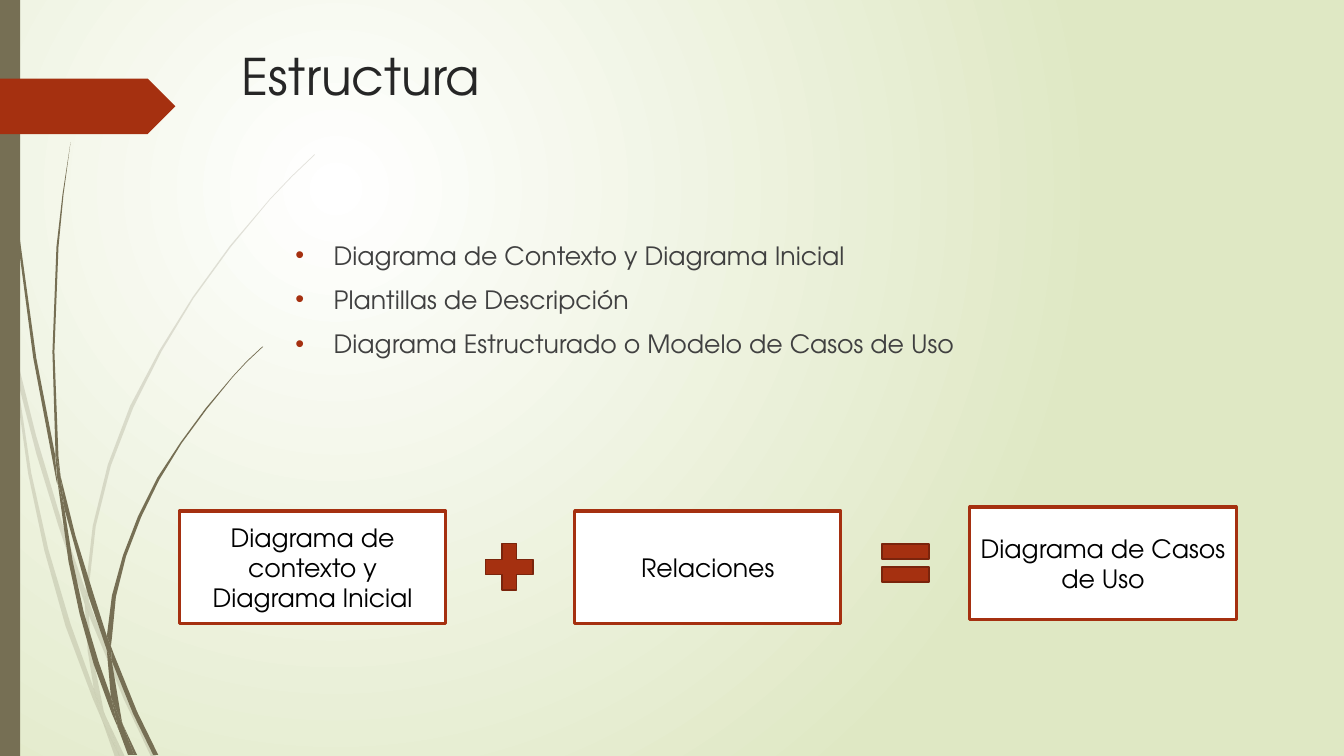
from lxml import etree
from pptx import Presentation, util as u
from pptx.dml.color import RGBColor
from pptx.enum import shapes, text
from pptx.oxml.ns import qn

FONT = "TeX Gyre Adventor"
OLIVE, RUST, DARK_RUST = "766F54", "A53010", "7A240C"

PALE_BLADES = [
    [(0.11, 3.5), (0.09, 3.22), (0, 2.82), (0, 2.99), (0.1, 3.44)],
    [(0.58, 5.22), (0.84, 5.99), (0.85, 5.86), (0.62, 5.2), (0.36, 4.33), (0.14, 3.45),
     (0.17, 3.76), (0.36, 4.5)],
    [(0.92, 6.07), (0.88, 5.96), (0.88, 6.1), (1.23, 6.94), (1.5, 7.51), (1.55, 7.51),
     (1.27, 6.92)],
    [(1.19, 7.51), (1.24, 7.51), (1.05, 7.11)],
    [(0.93, 6.83), (0.7, 6.19), (0.48, 5.45), (0.31, 4.69), (0.17, 3.76), (0.11, 3.5),
     (0.28, 4.7), (0.44, 5.46), (0.65, 6.21), (0.92, 6.93), (1.01, 7.14), (0.99, 7.07)],
    [(0.84, 5.99), (0.87, 6.46), (0.93, 6.83), (0.96, 6.92), (1.05, 7.11), (1.03, 7.06),
     (0.91, 6.46), (0.88, 6.1), (0.88, 6.08)],
    [(0.88, 5.84), (0.95, 5.22), (1.1, 4.62), (1.32, 4.05), (1.6, 3.49), (1.92, 2.96),
     (2.29, 2.45), (2.68, 1.98), (2.9, 1.75), (3.12, 1.54), (3.12, 1.53), (2.89, 1.75),
     (2.68, 1.97), (2.28, 2.44), (1.91, 2.95), (1.58, 3.48), (1.29, 4.03), (1.07, 4.61),
     (0.92, 5.22), (0.85, 5.84), (0.85, 5.86), (0.88, 5.96)],
    [(1.01, 7.14), (1.14, 7.51), (1.19, 7.51)],
    [(0.88, 6.08), (0.88, 6.1), (0.88, 5.96), (0.85, 5.86), (0.84, 5.99)],
    [(0.96, 6.92), (0.93, 6.83), (0.99, 7.07), (1.01, 7.14), (1.19, 7.51), (1.05, 7.11)],
]
DARK_BLADES = [
    [(0.07, 1.1), (0.17, 2.33), (0.33, 3.55), (0.56, 4.77), (0.57, 4.81), (0.55, 4.57),
     (0.55, 4.53), (0.36, 3.55), (0.19, 2.32), (0.08, 1.09), (0.05, 0.48), (0.04, 0),
     (0.03, 0), (0.04, 0.48)],
    [(0.88, 5.92), (1.06, 6.45), (1.06, 6.33), (1.06, 6.31), (0.93, 5.9), (0.75, 5.32),
     (0.6, 4.72), (0.64, 5.05)],
    [(1.13, 6.49), (1.1, 6.41), (1.11, 6.56), (1.32, 7.08), (1.52, 7.49), (1.57, 7.49),
     (1.36, 7.06)],
    [(1.1, 6.91), (0.98, 6.57), (0.83, 6.07), (0.72, 5.56), (0.64, 5.05), (0.57, 4.77),
     (0.68, 5.57), (0.79, 6.09), (0.93, 6.59), (1.11, 7.08), (1.17, 7.22), (1.16, 7.17)],
    [(0.6, 4.72), (0.58, 4.53), (0.54, 3.49), (0.58, 2.45), (0.63, 1.93), (0.7, 1.41),
     (0.62, 1.93), (0.56, 2.45), (0.52, 3.49), (0.55, 4.49)],
    [(1.33, 7.49), (1.36, 7.49), (1.22, 7.19)],
    [(0.57, 4.77), (0.64, 5.05), (0.6, 4.72), (0.55, 4.49), (0.55, 4.53)],
    [(1.11, 6.33), (1.15, 5.92), (1.25, 5.52), (1.4, 5.13), (1.58, 4.76), (1.8, 4.4),
     (2.05, 4.06), (2.31, 3.74), (2.45, 3.59), (2.61, 3.44), (2.6, 3.44), (2.45, 3.58),
     (2.31, 3.73), (2.04, 4.05), (1.79, 4.39), (1.56, 4.74), (1.37, 5.12), (1.22, 5.51),
     (1.11, 5.91), (1.06, 6.31), (1.1, 6.41)],
    [(1.17, 7.22), (1.27, 7.49), (1.31, 7.49)],
    [(1.06, 6.45), (1.1, 6.91), (1.16, 7.06), (1.22, 7.19), (1.21, 7.16), (1.11, 6.56),
     (1.09, 6.51)],
    [(1.06, 6.45), (1.09, 6.51), (1.11, 6.56), (1.1, 6.41), (1.06, 6.31), (1.06, 6.33)],
    [(1.16, 7.06), (1.1, 6.91), (1.16, 7.17), (1.17, 7.22), (1.3, 7.49), (1.33, 7.49),
     (1.22, 7.19)],
]


def rgb(hex_colour):
    """Turn a hex string into a colour."""
    return RGBColor.from_string(hex_colour)


def inches(*values):
    """Convert several lengths at once."""
    return [u.Inches(v) for v in values]


def paint(sp, fill, line=None, width=0, alpha=None):
    """Set fill, optional outline and optional opacity in percent."""
    sp.shadow.inherit = False
    sp.fill.solid()
    sp.fill.fore_color.rgb = rgb(fill)
    if alpha is not None:
        colour = sp._element.spPr.find(".//" + qn("a:srgbClr"))
        etree.SubElement(colour, qn("a:alpha")).set("val", str(alpha * 1000))
    if line:
        sp.line.color.rgb = rgb(line)
        sp.line.width = u.Pt(width)
    else:
        sp.line.fill.background()


def add_run(p, words, size, colour):
    """Add one formatted run."""
    r = p.add_run()
    r.text = words
    r.font.name, r.font.size = FONT, u.Pt(size)
    r.font.color.rgb = rgb(colour)


def add_preset(s, kind, box, fill, line=None, width=0):
    """Add a painted preset shape."""
    sp = s.shapes.add_shape(kind, *inches(*box))
    paint(sp, fill, line, width)
    return sp


def add_box(s, left, top, words):
    """Add a white outlined box with centred text."""
    box = (left, top, 2.64, 1.12)
    sp = add_preset(s, shapes.MSO_SHAPE.RECTANGLE, box, "FFFFFF", RUST, 2.25)
    tf = sp.text_frame
    tf.word_wrap = True
    tf.vertical_anchor = text.MSO_ANCHOR.MIDDLE
    p = tf.paragraphs[0]
    p.alignment = text.PP_ALIGN.CENTER
    add_run(p, words, 18, "000000")


def add_blade(s, outline, alpha=None):
    """Draw one piece of the grass."""
    points = [inches(*point) for point in outline]
    builder = s.shapes.build_freeform(*points[0])
    builder.add_line_segments(points[1:], close=True)
    paint(builder.convert_to_shape(), OLIVE, alpha=alpha)


def set_background(s):
    """Fill the background with a circular gradient."""
    fill = s.background.fill
    fill.gradient()
    for stop, colour in zip(fill.gradient_stops, ("FFFFFF", "DFE8C4")):
        stop.color.rgb = rgb(colour)
    grad = s._element.find(".//" + qn("a:gradFill"))
    grad.remove(grad.find(qn("a:lin")))
    circle = etree.SubElement(grad, qn("a:path"), path="circle")
    etree.SubElement(circle, qn("a:fillToRect"),
                     l="50000", t="50000", r="100000", b="100000")


def place(sp, *box):
    """Move a placeholder and return its top-anchored text frame."""
    sp.left, sp.top, sp.width, sp.height = inches(*box)
    tf = sp.text_frame
    tf.word_wrap = True
    tf.auto_size = text.MSO_AUTO_SIZE.NONE
    tf.vertical_anchor = text.MSO_ANCHOR.TOP
    return tf


def add_bullet(p, words):
    """Fill a paragraph as a bulleted line."""
    p.space_before = u.Pt(10)
    pPr = p._p.get_or_add_pPr()
    pPr.set("marL", str(u.Inches(0.38)))
    pPr.set("indent", str(u.Inches(-0.38)))
    colour = etree.SubElement(pPr, qn("a:buClr"))
    etree.SubElement(colour, qn("a:srgbClr"), val=RUST)
    etree.SubElement(pPr, qn("a:buFont"), typeface="Arial")
    etree.SubElement(pPr, qn("a:buChar"), char="•")
    add_run(p, words, 18, "404040")


def main():
    """Build the slide."""
    prs = Presentation()
    prs.slide_width, prs.slide_height = inches(13.33, 7.5)
    s = prs.slides.add_slide(prs.slide_layouts[1])
    set_background(s)

    for blades, alpha in ((PALE_BLADES, 20), (DARK_BLADES, None)):
        for outline in blades:
            add_blade(s, outline, alpha)
    add_preset(s, shapes.MSO_SHAPE.RECTANGLE, (0, 0, 0.2, 7.5), OLIVE)
    add_preset(s, shapes.MSO_SHAPE.PENTAGON, (0, 0.78, 1.74, 0.55), RUST)

    p = place(s.shapes.title, 2.3, 0.4, 9.75, 1.4).paragraphs[0]
    p.alignment = text.PP_ALIGN.LEFT
    add_run(p, "Estructura", 36, "262626")

    tf = place(s.placeholders[1], 2.83, 2.33, 9.75, 4.13)
    topics = ["Diagrama de Contexto y Diagrama Inicial", "Plantillas de Descripción",
              "Diagrama Estructurado o Modelo de Casos de Uso"]
    for i, topic in enumerate(topics):
        add_bullet(tf.add_paragraph() if i else tf.paragraphs[0], topic)

    terms = [("Diagrama de contexto y Diagrama Inicial", 5.07), ("Relaciones", 5.07),
             ("Diagrama de Casos de Uso", 5.03)]
    for i, (words, top) in enumerate(terms):
        add_box(s, 1.78 + 3.92 * i, top, words)
    add_preset(s, shapes.MSO_SHAPE.MATH_PLUS, (4.73, 5.31, 0.64, 0.63), RUST, DARK_RUST, 1.25)
    add_preset(s, shapes.MSO_SHAPE.MATH_EQUAL, (8.66, 5.26, 0.64, 0.65), RUST, DARK_RUST, 1.25)
    prs.save("out.pptx")


if __name__ == "__main__":
    main()
